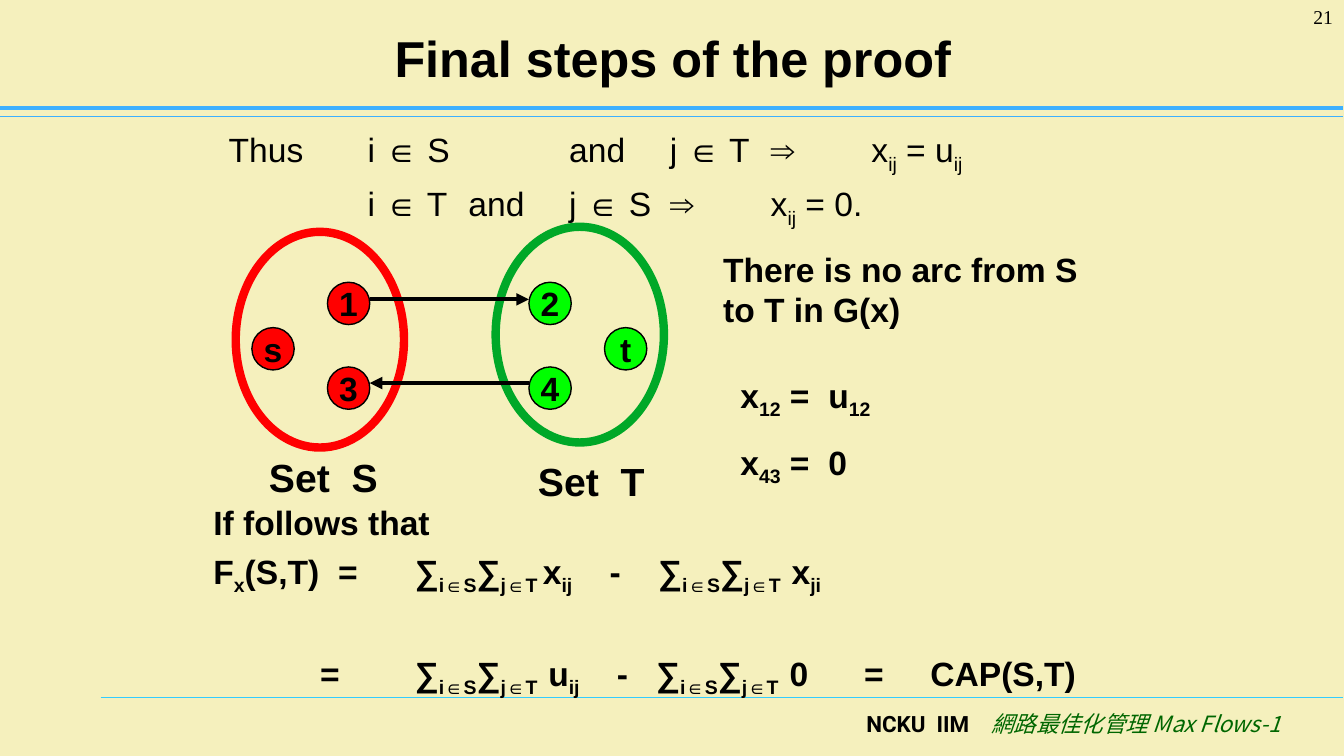
"""Build the slide on the final steps of the max-flow min-cut proof."""
from dataclasses import dataclass
from typing import NamedTuple

from lxml.etree import SubElement
from pptx import Presentation
from pptx.dml.color import RGBColor
from pptx.enum.shapes import MSO_CONNECTOR, MSO_SHAPE
from pptx.enum.text import MSO_ANCHOR, MSO_AUTO_SIZE, PP_ALIGN
from pptx.oxml.ns import qn
from pptx.util import Inches, Pt


@dataclass(frozen=True)
class Theme:
    paper: str = "F5F0BD"
    ink: str = "000000"
    rule: str = "3DB0FF"
    footer_rule: str = "33CCFF"
    course: str = "006600"
    source_ring: str = "FF0000"
    sink_ring: str = "00A828"
    source_node: str = "FF0000"
    sink_node: str = "00FF00"
    font: str = "Arial"
    number_font: str = "Times New Roman"
    school_font: str = "Roboto"
    course_font: str = "Noto Sans CJK SC"
    title: int = 36
    label: int = 28
    text: int = 24
    footer: int = 16
    number: int = 14


THEME = Theme()


class Line(NamedTuple):
    """One paragraph; _x_ is subscript and ~ a space widened by the next gap in points."""
    text: str
    tabs: tuple = ()
    before: float = 0
    gaps: tuple = ()
    bold: bool = True
    size: int = THEME.text
    align: PP_ALIGN = PP_ALIGN.LEFT
    font: str = THEME.font
    hanging: float = 0


class TextBox(NamedTuple):
    left: float
    top: float
    width: float
    height: float
    lines: tuple
    inset: tuple = (0.1, 0.05)


class NodeSet(NamedTuple):
    left: float
    top: float
    ring: str
    fill: str
    nodes: tuple


class Rule(NamedTuple):
    start: tuple
    end: tuple
    color: str
    weight: float
    arrow: bool = False


BODY = (
    Line("Thus\ti ∈ S\t\tand\tj ∈ T\t⇒\tx_ij_ = u_ij_", bold=False, hanging=0.38),
    Line("\t\ti ∈ T\tand\tj ∈ S\t⇒\tx_ij_ = 0.", before=6, bold=False, hanging=0.38),
)
TEXT_BOXES = (
    TextBox(12.22, 0, 1.11, 0.5, (
        Line("21", bold=False, size=THEME.number, align=PP_ALIGN.RIGHT,
             font=THEME.number_font),)),
    TextBox(7.08, 2.42, 3.83, 0.9, (Line("There is no arc from S to T in G(x)"),)),
    TextBox(7.25, 3.67, 2.75, 1.22, (
        Line("x_12_ =~u_12_", gaps=(6.7,)),
        Line("x_43_ =~0", before=15, gaps=(6.7,)))),
    TextBox(2.02, 4.93, 9.33, 2.12, (
        Line("If follows that"),
        Line("F_x_(S,T)~=\t∑_i∈S_∑_j∈T _x_ij_~-~∑_i∈S_∑_j∈T~_x_ji_",
             (2,), 6, (6.7, 20, 20, 3.9)),
        Line("\t=\t∑_i∈S_∑_j∈T~_u_ij_~-~∑_i∈S_∑_j∈T~_0~=~CAP(S,T)",
             (1.06, 2), 40, (3.9, 20, 13.3, 3.9, 33.3, 26.7)))),
    TextBox(2.67, 4.5, 1.2, 0.47,
            (Line("Set~S", gaps=(7.8,), size=THEME.label),), (0, 0)),
    TextBox(5.34, 4.54, 1.2, 0.47,
            (Line("Set~T", gaps=(7.8,), size=THEME.label),), (0, 0)),
)
FOOTER = TextBox(2.44, 7, 10.37, 0.5, (
    Line("NCKU~IIM~", gaps=(4, 12), size=THEME.footer,
         align=PP_ALIGN.RIGHT, font=THEME.school_font),))
NODE_SETS = (
    NodeSet(2.34, 2.3, THEME.source_ring, THEME.source_node,
            (("1", 3.25, 2.8), ("3", 3.25, 3.64), ("s", 2.5, 3.25))),
    NodeSet(4.92, 2.25, THEME.sink_ring, THEME.sink_node,
            (("2", 5.25, 2.8), ("4", 5.25, 3.64), ("t", 6, 3.25))),
)
RULES = (
    Rule((1, 6.92), (13.33, 6.92), THEME.footer_rule, 0.75),
    Rule((0, 1.16), (13.33, 1.16), THEME.rule, 0.75),
    Rule((0, 1.07), (13.33, 1.07), THEME.rule, 2.5),
)
ARROWS = (
    Rule((3.67, 2.97), (5.25, 2.97), THEME.ink, 3, True),
    Rule((5.25, 3.8), (3.67, 3.8), THEME.ink, 3, True),
)


def color(value: str) -> RGBColor:
    return RGBColor.from_string(value)


def write_span(para, text: str, subscript: bool, gap: float = 0) -> None:
    span = para.add_run()
    span.text = text
    props = span._r.get_or_add_rPr()
    if subscript:
        props.set("baseline", "-25000")
    if gap:
        props.set("spc", str(round(gap * 100)))


def write_line(para, line: Line) -> None:
    props = para._p.get_or_add_pPr()
    props.set("defTabSz", str(Inches(1)))
    if line.hanging:
        props.set("marL", str(Inches(line.hanging)))
        props.set("indent", str(-Inches(line.hanging)))
    SubElement(props, qn("a:buNone"))
    if line.tabs:
        stops = SubElement(props, qn("a:tabLst"))
        for stop in line.tabs:
            SubElement(stops, qn("a:tab"), pos=str(Inches(stop)), algn="l")
    para.alignment = line.align
    para.space_before = Pt(line.before)
    para.font.name = line.font
    para.font.size = Pt(line.size)
    para.font.bold = line.bold
    para.font.color.rgb = color(THEME.ink)
    gaps = iter(line.gaps)
    for index, piece in enumerate(line.text.split("_")):
        subscript = index % 2 == 1
        for part, text in enumerate(piece.split("~")):
            if part:
                write_span(para, " ", subscript, next(gaps))
            if text:
                write_span(para, text, subscript)


def write_lines(frame, lines: tuple) -> None:
    frame.auto_size = MSO_AUTO_SIZE.NONE
    for index, line in enumerate(lines):
        write_line(frame.add_paragraph() if index else frame.paragraphs[0], line)


def place(shape, left: float, top: float, width: float, height: float) -> None:
    shape.left, shape.top = Inches(left), Inches(top)
    shape.width, shape.height = Inches(width), Inches(height)


def add_text(slide, item: TextBox):
    box = slide.shapes.add_textbox(*map(Inches, item[:4]))
    frame = box.text_frame
    frame.word_wrap = True
    frame.margin_left = frame.margin_right = Inches(item.inset[0])
    frame.margin_top = frame.margin_bottom = Inches(item.inset[1])
    write_lines(frame, item.lines)
    return box


def add_footer(slide) -> None:
    para = add_text(slide, FOOTER).text_frame.paragraphs[0]
    span = para.add_run()
    span.text = "網路最佳化管理 Max Flows-1"
    span.font.name = THEME.course_font
    span.font.bold, span.font.italic = False, True
    span.font.color.rgb = color(THEME.course)
    SubElement(span._r.get_or_add_rPr(), qn("a:ea"), typeface=THEME.course_font)


def add_rule(slide, rule: Rule) -> None:
    line = slide.shapes.add_connector(
        MSO_CONNECTOR.STRAIGHT, *map(Inches, rule.start + rule.end))
    line.line.color.rgb = color(rule.color)
    line.line.width = Pt(rule.weight)
    if rule.arrow:
        SubElement(line.line._get_or_add_ln(), qn("a:tailEnd"), type="triangle")
    SubElement(line._element.spPr, qn("a:effectLst"))


def add_ellipse(slide, left: float, top: float, width: float, height: float,
                outline: str, weight: float):
    oval = slide.shapes.add_shape(
        MSO_SHAPE.OVAL, *map(Inches, (left, top, width, height)))
    oval.shadow.inherit = False
    oval.fill.background()
    oval.line.color.rgb = color(outline)
    oval.line.width = Pt(weight)
    return oval


def add_node_set(slide, group: NodeSet) -> None:
    add_ellipse(slide, group.left, group.top, 1.67, 2.14, group.ring, 6)
    for name, left, top in group.nodes:
        node = add_ellipse(slide, left, top, 0.42, 0.42, THEME.ink, 1)
        node.fill.solid()
        node.fill.fore_color.rgb = color(group.fill)
        node.text_frame.word_wrap = False
        node.text_frame.vertical_anchor = MSO_ANCHOR.MIDDLE
        write_lines(node.text_frame, (Line(name, align=PP_ALIGN.CENTER),))


def main() -> None:
    deck = Presentation()
    deck.slide_width, deck.slide_height = Inches(13.34), Inches(7.5)
    slide = deck.slides.add_slide(deck.slide_layouts[1])
    slide.background.fill.solid()
    slide.background.fill.fore_color.rgb = color(THEME.paper)
    title, body = slide.placeholders
    place(title, 0.68, 0.13, 12, 0.87)
    title.text_frame.vertical_anchor = MSO_ANCHOR.MIDDLE
    write_lines(title.text_frame, (
        Line("Final steps of the proof", size=THEME.title, align=PP_ALIGN.CENTER),))
    place(body, 2.17, 1.23, 9.23, 1.4)
    write_lines(body.text_frame, BODY)
    for rule in RULES:
        add_rule(slide, rule)
    add_footer(slide)
    for group in NODE_SETS:
        add_node_set(slide, group)
    for arrow in ARROWS:
        add_rule(slide, arrow)
    for item in TEXT_BOXES:
        add_text(slide, item)
    deck.save("out.pptx")


if __name__ == "__main__":
    main()
